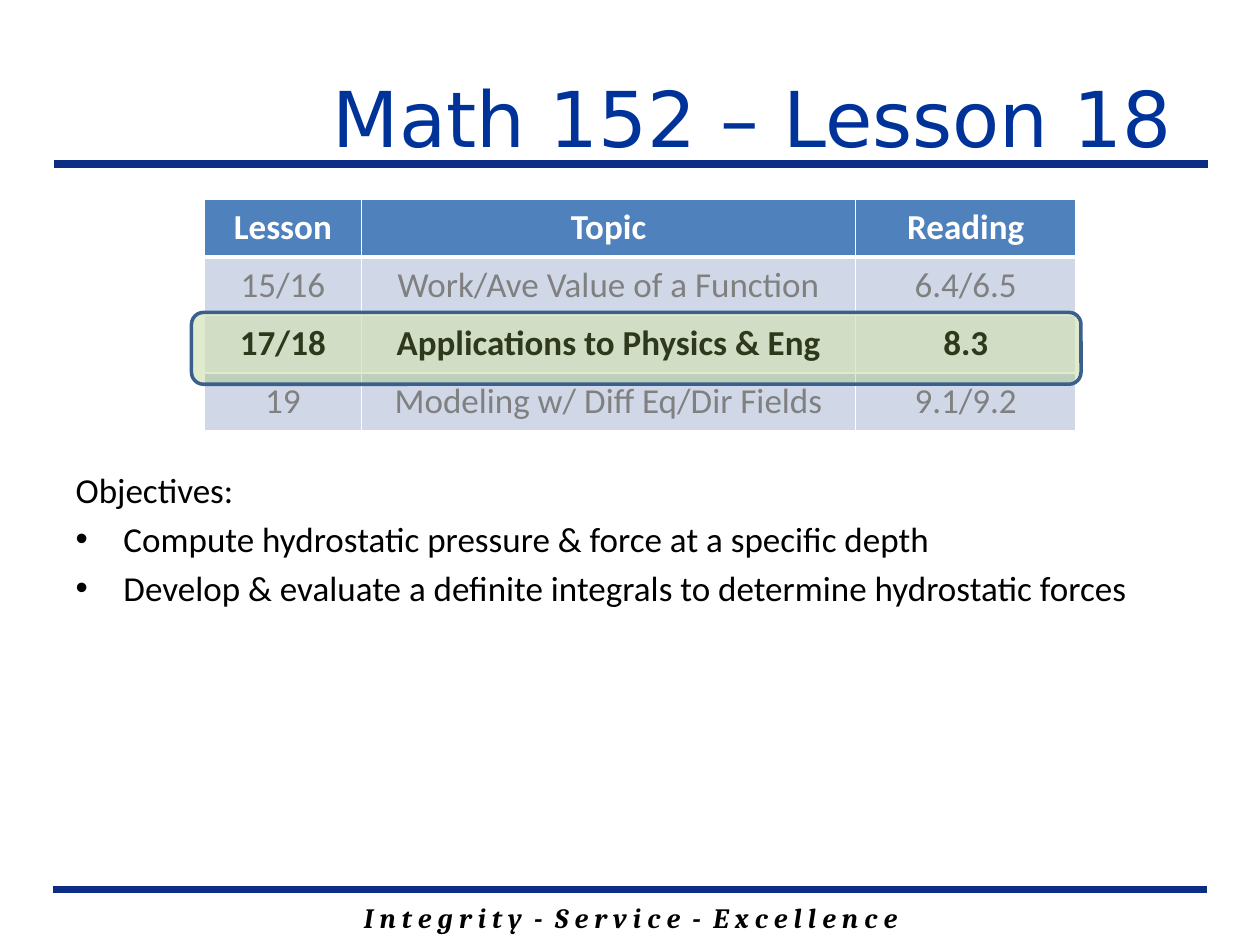
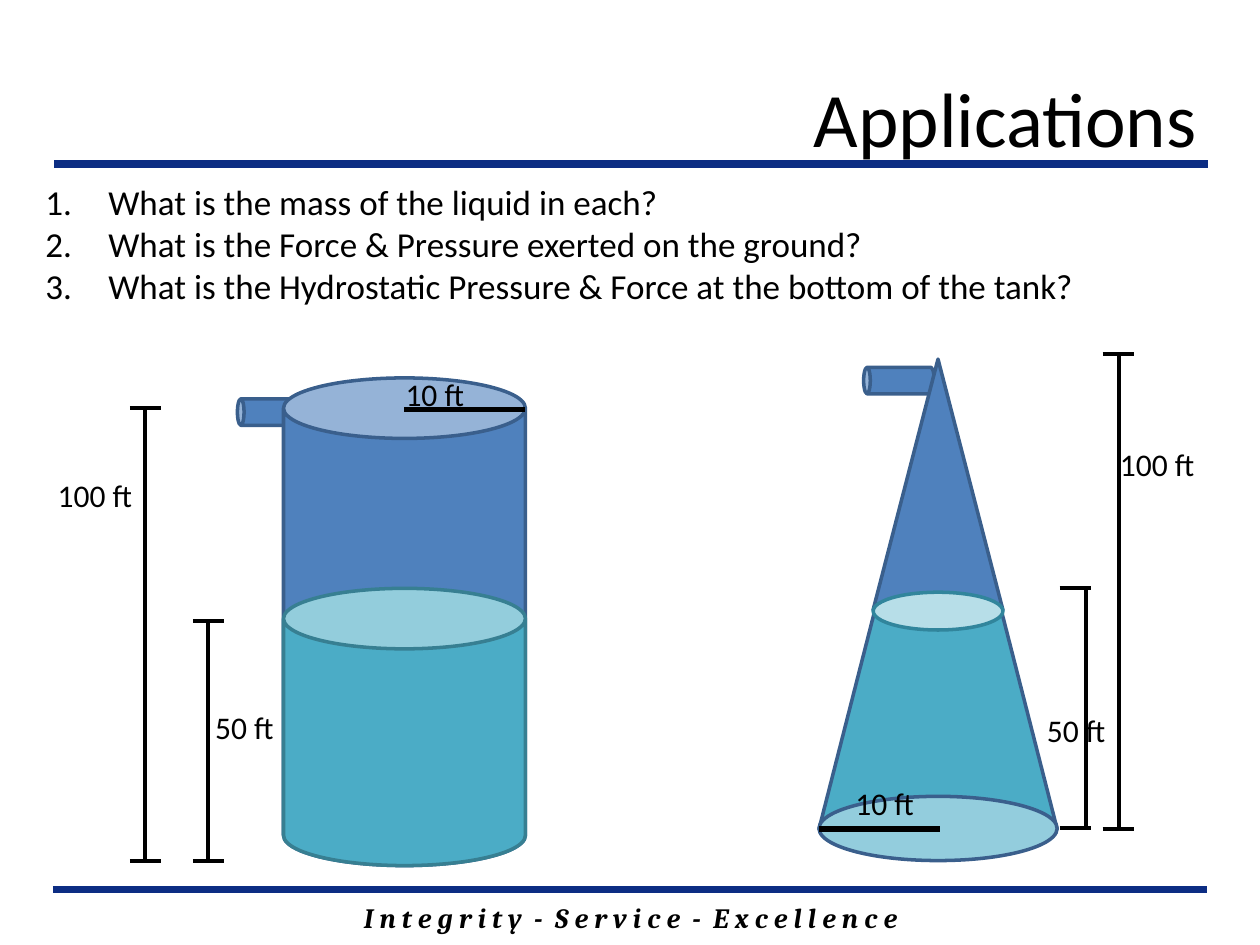
"""Build two lesson slides on hydrostatic pressure and force."""
from dataclasses import dataclass
from typing import NamedTuple, Optional

from lxml import etree
from pptx import Presentation, util as u
from pptx.dml.color import RGBColor
from pptx.enum import shapes, text
from pptx.oxml.ns import qn
from pptx.shapes.autoshape import Shape
from pptx.slide import Slide
from pptx.table import _Cell as Cell
from pptx.text.text import TextFrame


@dataclass(frozen=True)
class Theme:
    """Colours, fonts and type sizes."""
    black: str = "000000"
    white: str = "FFFFFF"
    gray: str = "808080"
    navy: str = "003399"
    band: str = "0C2D83"
    blue: str = "4F81BD"
    edge: str = "3A5F8C"
    pale: str = "D0D8E8"
    mist: str = "E9EDF4"
    green: str = "9BBB59"
    teal: str = "4BACC6"
    rim: str = "377F92"
    foam: str = "93CDDD"
    ice: str = "B7DEE8"
    lake: str = "31859C"
    sans: str = "Calibri"
    serif: str = "Cambria"
    wide: str = "DejaVu Sans"
    head: int = 44
    body: int = 20
    label: int = 18
    foot: int = 16


T = Theme()
KIND = shapes.MSO_SHAPE
ALIGN = text.PP_ALIGN


class Box(NamedTuple):
    """Left, top, width and height in inches."""
    left: float
    top: float
    width: float
    height: float

    def emu(self) -> list[int]:
        """Return the four sides as lengths."""
        return [u.Inches(side) for side in self]


class Solid(NamedTuple):
    """One filled part of a tank."""
    kind: int
    box: Box
    fill: str
    edge: str = T.edge
    turn: int = 0


class Gauge(NamedTuple):
    """Height mark: a stem with two end caps."""
    stem: float
    top: float
    base: float
    cap: float


class Label(NamedTuple):
    """Short text and its place."""
    words: str
    left: float
    top: float
    width: float


TITLE = Box(1.8, 0.3, 7.8, 1.25)
CAP = 0.25
MOTTO = "I n t e g r i t y  -  S e r v i c e  -  E x c e l l e n c e"

COLS = (1.25, 3.92, 1.75)
ROW = 0.46
ROWS = (
    ("Lesson", "Topic", "Reading"),
    ("15/16", "Work/Ave Value of a Function", "6.4/6.5"),
    ("17/18", "Applications to Physics & Eng", "8.3"),
    ("19", "Modeling w/ Diff Eq/Dir Fields", "9.1/9.2"),
)
LOOKS = ((T.blue, T.white, True), (T.pale, T.gray, False),
         (T.mist, T.black, True), (T.pale, T.gray, False))

GOALS = (
    "Objectives:",
    "Compute hydrostatic pressure & force at a specific depth",
    "Develop & evaluate a definite integrals to determine hydrostatic forces",
)
TASKS = (
    "What is the mass of the liquid in each?",
    "What is the Force & Pressure exerted on the ground?",
    "What is the Hydrostatic Pressure & Force at the bottom of the tank?",
)

SOLIDS = (
    Solid(KIND.CAN, Box(7.03, 2.74, 0.21, 0.56), T.blue, turn=270),
    Solid(KIND.CAN, Box(2.06, 2.99, 0.21, 0.56), T.blue, turn=270),
    Solid(KIND.CAN, Box(2.25, 3, 1.92, 3.87), T.blue),
    Solid(KIND.CAN, Box(2.25, 4.67, 1.92, 2.2), T.teal, T.rim),
    Solid(KIND.ISOSCELES_TRIANGLE, Box(6.5, 2.88, 1.89, 3.7), T.teal),
    Solid(KIND.OVAL, Box(6.5, 6.32, 1.89, 0.51), T.foam, turn=180),
    Solid(KIND.ISOSCELES_TRIANGLE, Box(6.93, 2.85, 1.03, 1.99), T.blue),
    Solid(KIND.OVAL, Box(6.93, 4.7, 1.03, 0.3), T.ice, T.lake, 180),
)
RADII = ((3.21, 3.25), (6.5, 6.58))
RADIUS = 0.96
GAUGES = (
    Gauge(1.15, 3.24, 6.83, 1.03),
    Gauge(1.65, 4.93, 6.83, 1.53),
    Gauge(8.88, 2.81, 6.58, 8.75),
    Gauge(8.62, 4.67, 6.57, 8.41),
)
LABELS = (
    Label("10 ft", 3.12, 2.93, 0.75),
    Label("50 ft", 1.61, 5.57, 0.75),
    Label("100 ft", 0.36, 3.73, 0.92),
    Label("10 ft", 6.69, 6.17, 0.75),
    Label("50 ft", 8.21, 5.59, 0.75),
    Label("100 ft", 8.79, 3.48, 0.92),
)


def rgb(code: str) -> RGBColor:
    """Turn a hex code into a colour."""
    return RGBColor.from_string(code)


def put(frame: TextFrame, words: str, *, size: int = T.body,
        font: str = T.sans, color: str = T.black, bold: bool = False,
        slant: bool = False, align: int = ALIGN.LEFT, gap: float = 0,
        mark: Optional[str] = None, hang: float = 0,
        more: bool = False) -> None:
    """Write one formatted paragraph into a frame."""
    para = frame.add_paragraph() if more else frame.paragraphs[0]
    para.alignment = align
    para.space_before = u.Pt(gap)
    props = para._p.get_or_add_pPr()
    props.set("marL", str(u.Inches(hang)))
    props.set("indent", str(-u.Inches(hang)))
    if mark == "1.":
        etree.SubElement(props, qn("a:buAutoNum"), type="arabicPeriod")
    elif mark:
        etree.SubElement(props, qn("a:buFont"), typeface="Arial")
        etree.SubElement(props, qn("a:buChar"), char=mark)
    else:
        etree.SubElement(props, qn("a:buNone"))
    run = para.add_run()
    run.text = words
    face = run.font
    face.name, face.size = font, u.Pt(size)
    face.bold, face.italic = bold, slant
    face.color.rgb = rgb(color)


def move(shape: Shape, box: Box) -> TextFrame:
    """Place a placeholder and return its frame."""
    shape.left, shape.top, shape.width, shape.height = box.emu()
    frame = shape.text_frame
    frame.word_wrap = True
    frame.auto_size = text.MSO_AUTO_SIZE.NONE
    return frame


def note(slide: Slide, box: Box, words: str, **style) -> None:
    """Add a text box with one paragraph."""
    frame = slide.shapes.add_textbox(*box.emu()).text_frame
    frame.word_wrap = True
    put(frame, words, **style)


def rule(slide: Slide, x1: float, y1: float, x2: float, y2: float,
         color: str = T.black, width: float = 2.25) -> None:
    """Draw a straight line."""
    ends = [u.Inches(n) for n in (x1, y1, x2, y2)]
    line = slide.shapes.add_connector(shapes.MSO_CONNECTOR.STRAIGHT, *ends)
    line.line.color.rgb = rgb(color)
    line.line.width = u.Pt(width)
    etree.SubElement(line._element.spPr, qn("a:effectLst"))


def draw(slide: Slide, part: Solid) -> Shape:
    """Draw a filled and outlined shape."""
    shape = slide.shapes.add_shape(part.kind, *part.box.emu())
    shape.shadow.inherit = False
    shape.rotation = part.turn
    shape.fill.solid()
    shape.fill.fore_color.rgb = rgb(part.fill)
    shape.line.color.rgb = rgb(part.edge)
    shape.line.width = u.Pt(2)
    return shape


def start(deck: Presentation, title: str, font: str, color: str) -> Slide:
    """Add a slide with title, bands and motto."""
    slide = deck.slides.add_slide(deck.slide_layouts[1])
    frame = move(slide.shapes.title, TITLE)
    frame.vertical_anchor = text.MSO_ANCHOR.MIDDLE
    put(frame, title, size=T.head, font=font, color=color, align=ALIGN.RIGHT)
    for left, top in ((0.42, 7.06), (0.43, 1.3)):
        rule(slide, left, top, left + 9.16, top, T.band, 4.5)
    note(slide, Box(1.42, 7.1, 7.17, 0.37), MOTTO, size=T.foot,
         font=T.serif, bold=True, slant=True, align=ALIGN.CENTER)
    return slide


def trim(cell: Cell, top: float, base: float) -> None:
    """Give a cell white borders."""
    props = cell._tc.get_or_add_tcPr()
    for side, width in (("L", 1), ("R", 1), ("T", top), ("B", base)):
        line = etree.SubElement(props, qn(f"a:ln{side}"), w=str(u.Pt(width)))
        fill = etree.SubElement(line, qn("a:solidFill"))
        etree.SubElement(fill, qn("a:srgbClr"), val=T.white)


def plan(slide: Slide) -> None:
    """Draw the lesson table."""
    box = Box(1.62, 1.58, sum(COLS), ROW * len(ROWS))
    table = slide.shapes.add_table(len(ROWS), len(COLS), *box.emu()).table
    for col, width in zip(table.columns, COLS):
        col.width = u.Inches(width)
    for i, (row, (fill, color, bold)) in enumerate(zip(ROWS, LOOKS)):
        table.rows[i].height = u.Inches(ROW)
        for j, words in enumerate(row):
            cell = table.cell(i, j)
            trim(cell, 3 if i == 1 else 1, 3 if i == 0 else 1)
            cell.fill.solid()
            cell.fill.fore_color.rgb = rgb(fill)
            cell.vertical_anchor = text.MSO_ANCHOR.MIDDLE
            put(cell.text_frame, words, color=color, bold=bold,
                align=ALIGN.CENTER)


def lesson(deck: Presentation) -> None:
    """Build the lesson slide."""
    slide = start(deck, "Math 152 – Lesson 18 ", T.wide, T.navy)
    frame = move(slide.placeholders[1], Box(0.5, 3.67, 9, 3.33))
    put(frame, GOALS[0])
    for goal in GOALS[1:]:
        put(frame, goal, mark="•", hang=0.38, gap=4, more=True)
    plan(slide)
    glow = draw(slide, Solid(KIND.ROUNDED_RECTANGLE,
                             Box(1.52, 2.48, 7.06, 0.57), T.green))
    tint = glow._element.spPr.find(qn("a:solidFill"))[0]
    etree.SubElement(tint, qn("a:alpha"), val="30000")


def tanks(deck: Presentation) -> None:
    """Build the slide with the two tanks."""
    slide = start(deck, "Applications", T.sans, T.black)
    frame = move(slide.placeholders[1], Box(0.26, 1.38, 9.25, 1.45))
    for i, task in enumerate(TASKS):
        put(frame, task, mark="1.", hang=0.5, more=i > 0)
    for part in SOLIDS:
        draw(slide, part)
    for left, top in RADII:
        rule(slide, left, top, left + RADIUS, top, width=3)
    for g in GAUGES:
        rule(slide, g.stem, g.top, g.stem, g.base)
        for y in (g.top, g.base):
            rule(slide, g.cap, y, g.cap + CAP, y)
    for tag in LABELS:
        note(slide, Box(tag.left, tag.top, tag.width, 0.4), tag.words,
             size=T.label)


def main() -> None:
    """Build and save the deck."""
    deck = Presentation()
    deck.slide_width, deck.slide_height = u.Inches(10), u.Inches(7.5)
    lesson(deck)
    tanks(deck)
    deck.save("out.pptx")


if __name__ == "__main__":
    main()
